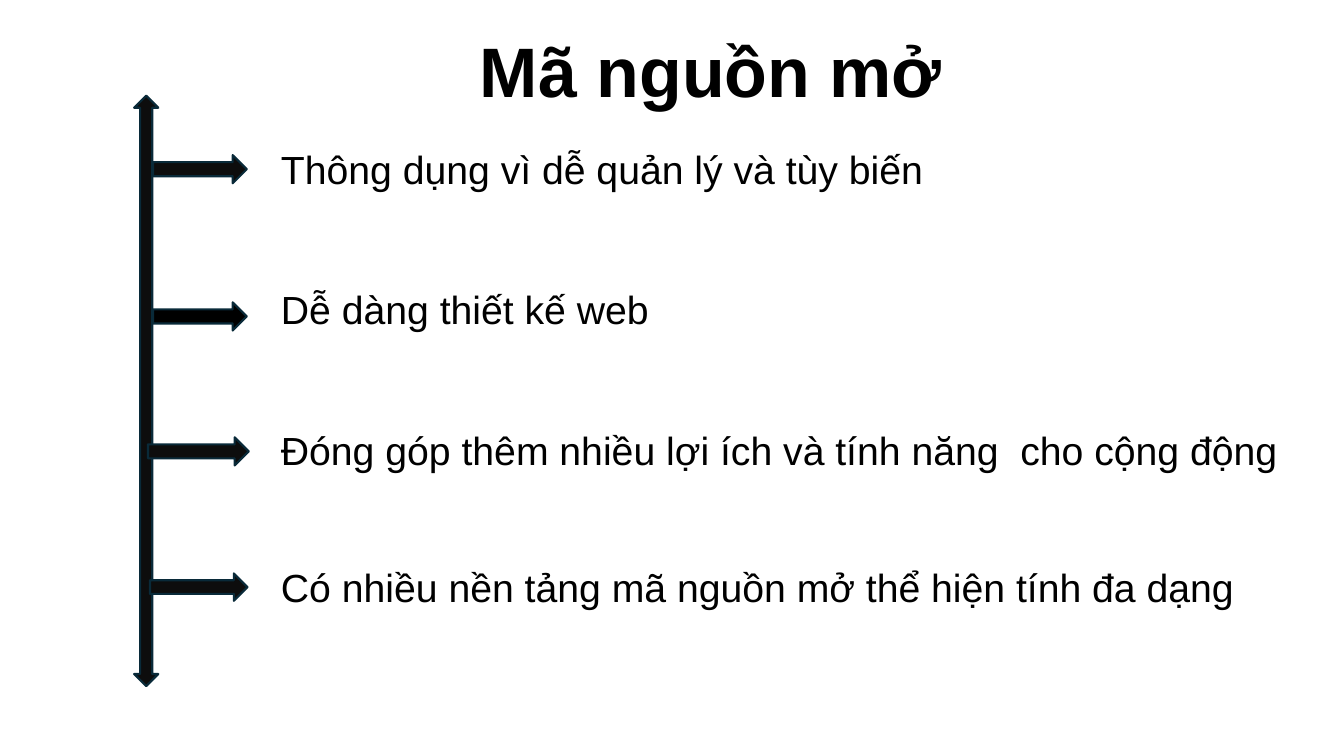
"""Build a slide listing the strengths of open source along a vertical arrow."""
from dataclasses import dataclass

from pptx import Presentation
from pptx.dml.color import RGBColor
from pptx.enum.shapes import MSO_SHAPE
from pptx.enum.text import MSO_AUTO_SIZE, PP_ALIGN
from pptx.slide import Slide
from pptx.util import Cm, Pt

FONT = "Arial"
BLACK = "000000"
NEAR_BLACK = "0D0D0D"
OUTLINE = "092A39"
TEXT_LEFT = 6.83
TEXT_HEIGHT = 1.45


@dataclass(frozen=True)
class Area:
    left: float
    top: float
    width: float
    height: float

    def lengths(self) -> tuple[Cm, Cm, Cm, Cm]:
        return Cm(self.left), Cm(self.top), Cm(self.width), Cm(self.height)


@dataclass(frozen=True)
class Benefit:
    text: str
    text_top: float
    text_width: float
    arrow: Area
    fill: str = NEAR_BLACK


AXIS = Area(3.38, 2.41, 0.61, 14.88)
TITLE = Area(10.67, 0.58, 14.5, 2.39)
BENEFITS = [
    Benefit("Thông dụng vì dễ quản lý và tùy biến", 3.53, 22.66,
            Area(3.86, 3.91, 2.36, 0.71)),
    Benefit("Dễ dàng thiết kế web", 7.06, 24.94,
            Area(3.86, 7.62, 2.36, 0.71), BLACK),
    Benefit("Đóng góp thêm nhiều lợi ích và tính năng  cho cộng động", 10.62, 26.01,
            Area(3.73, 11.02, 2.54, 0.71)),
    Benefit("Có nhiều nền tảng mã nguồn mở thể hiện tính đa dạng", 14.07, 24.94,
            Area(3.78, 14.45, 2.46, 0.69)),
]


def color(value: str) -> RGBColor:
    return RGBColor.from_string(value)


def add_arrow(page: Slide, kind: MSO_SHAPE, area: Area, fill: str) -> None:
    arrow = page.shapes.add_shape(kind, *area.lengths())
    arrow.shadow.inherit = False
    arrow.fill.solid()
    arrow.fill.fore_color.rgb = color(fill)
    arrow.line.color.rgb = color(OUTLINE)
    arrow.line.width = Pt(1.5)


def add_text(page: Slide, text: str, area: Area, size: int,
             bold: bool = False, align: PP_ALIGN = PP_ALIGN.LEFT) -> None:
    box = page.shapes.add_textbox(*area.lengths())
    frame = box.text_frame
    frame.word_wrap = True
    frame.auto_size = MSO_AUTO_SIZE.SHAPE_TO_FIT_TEXT
    para = frame.paragraphs[0]
    para.text = text
    para.alignment = align
    para.font.name = FONT
    para.font.size = Pt(size)
    para.font.bold = bold
    para.font.color.rgb = color(BLACK)


def main() -> None:
    deck = Presentation()
    deck.slide_width, deck.slide_height = Cm(33.87), Cm(19.05)
    page = deck.slides.add_slide(deck.slide_layouts[6])
    add_arrow(page, MSO_SHAPE.UP_DOWN_ARROW, AXIS, NEAR_BLACK)
    for benefit in BENEFITS:
        add_arrow(page, MSO_SHAPE.RIGHT_ARROW, benefit.arrow, benefit.fill)
        area = Area(TEXT_LEFT, benefit.text_top, benefit.text_width, TEXT_HEIGHT)
        add_text(page, benefit.text, area, 28)
    add_text(page, "Mã nguồn mở", TITLE, 50, bold=True, align=PP_ALIGN.CENTER)
    deck.save("out.pptx")


if __name__ == "__main__":
    main()
